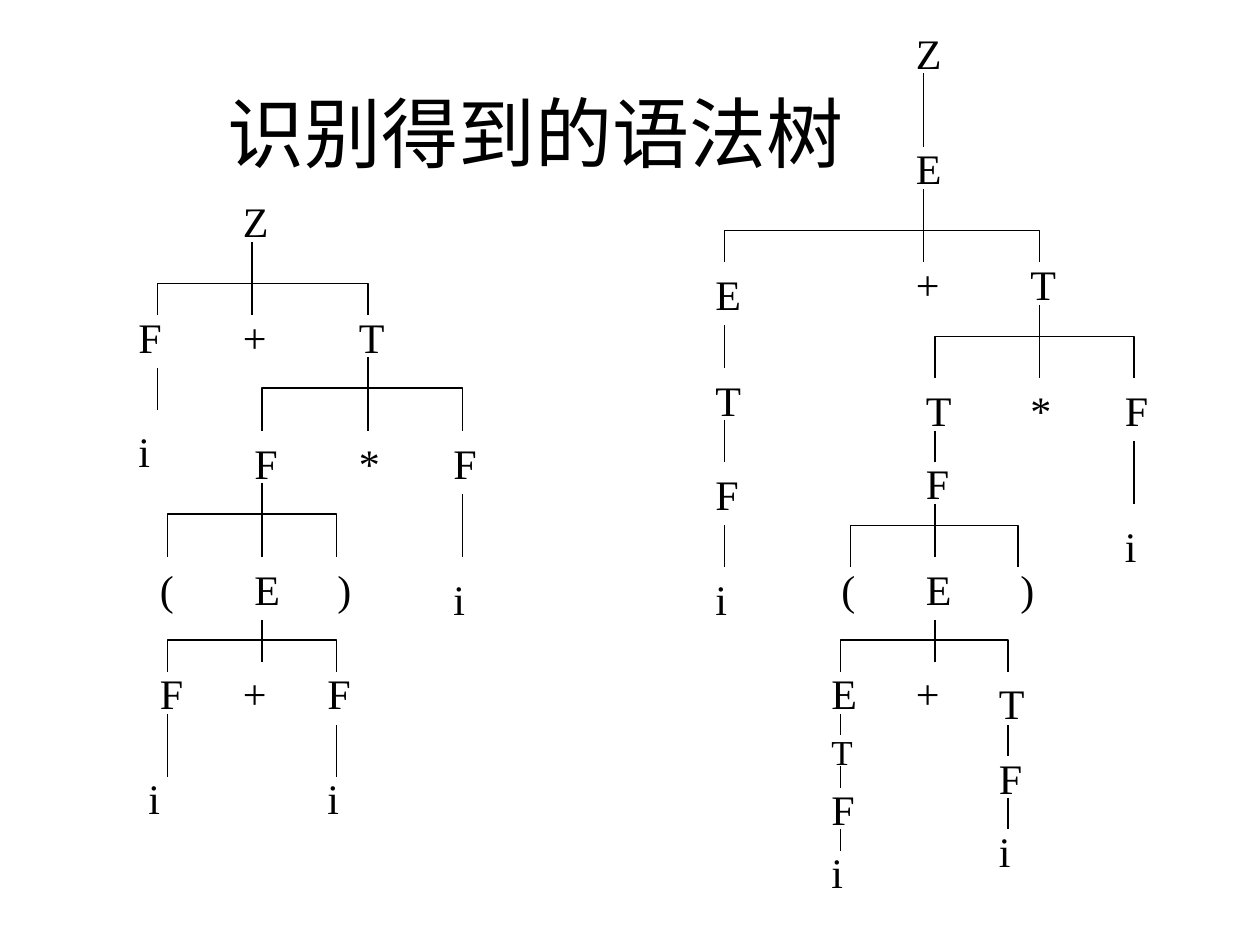
from dataclasses import dataclass

from lxml import etree
from pptx import Presentation
from pptx.dml.color import RGBColor
from pptx.enum.shapes import MSO_CONNECTOR
from pptx.enum.text import MSO_ANCHOR, MSO_AUTO_SIZE, PP_ALIGN
from pptx.oxml.ns import qn
from pptx.util import Inches, Pt

STRAIGHT = MSO_CONNECTOR.STRAIGHT
MIDDLE = MSO_ANCHOR.MIDDLE
CENTER = PP_ALIGN.CENTER
FIXED_SIZE = MSO_AUTO_SIZE.NONE
GROW = MSO_AUTO_SIZE.SHAPE_TO_FIT_TEXT


@dataclass(frozen=True)
class Theme:
    font: str = "Times New Roman"
    ink: RGBColor = RGBColor(0, 0, 0)
    title_size: int = 44
    symbol_size: int = 24
    small_symbol_size: int = 20
    line_width: float = 0.75


@dataclass(frozen=True)
class SyntaxTree:
    """Symbols are (text, left) by row top; stems and forks are in inches."""
    symbols: dict
    small_symbols: dict
    stems: list  # x, top, bottom
    forks: list  # left, right, top, bottom


THEME = Theme()
SYMBOL_WIDTH = 0.42

LEFT_TREE = SyntaxTree(
    symbols={
        1.5: [("Z", 1.83)],
        2.42: [("F", 1), ("+", 1.83), ("T", 2.75)],
        3.33: [("i", 1)],
        3.42: [("F", 1.92), ("*", 2.75), ("F", 3.5)],
        4.42: [("(", 1.17), ("E", 1.92), (")", 2.58)],
        4.5: [("i", 3.5)],
        5.25: [("F", 1.17), ("+", 1.83), ("F", 2.5)],
        6.08: [("i", 1.08), ("i", 2.5)],
    },
    small_symbols={},
    stems=[
        (2, 1.92, 2.5), (1.25, 2.92, 3.25), (2.92, 2.83, 3.42),
        (2.08, 3.83, 4.42), (3.67, 3.92, 4.42), (2.08, 4.92, 5.25),
        (1.33, 5.67, 6.17), (2.67, 5.75, 6.17),
    ],
    forks=[
        (1.25, 2.92, 2.25, 2.5), (2.08, 3.67, 3.08, 3.42),
        (1.33, 2.67, 4.08, 4.42), (1.33, 2.67, 5.08, 5.33),
    ],
)

RIGHT_TREE = SyntaxTree(
    symbols={
        0.17: [("Z", 7.17)],
        1.08: [("E", 7.17)],
        2: [("+", 7.17), ("T", 8.08)],
        2.08: [("E", 5.58)],
        2.92: [("T", 5.58)],
        3: [("T", 7.25), ("*", 8.08), ("F", 8.83)],
        3.58: [("F", 7.25)],
        3.67: [("F", 5.58)],
        4.08: [("i", 8.83)],
        4.42: [("(", 6.58), ("E", 7.25), (")", 8)],
        4.5: [("i", 5.58)],
        5.25: [("E", 6.5), ("+", 7.17)],
        5.33: [("T", 7.83)],
        5.92: [("F", 7.83)],
        6.17: [("F", 6.5)],
        6.5: [("i", 7.83)],
        6.67: [("i", 6.5)],
    },
    small_symbols={5.75: [("T", 6.5)]},
    stems=[
        (7.33, 0.58, 1.17), (7.33, 1.5, 2.08), (8.25, 2.42, 3),
        (5.75, 2.58, 2.92), (5.75, 3.33, 3.67), (5.75, 4.17, 4.5),
        (7.42, 3.42, 3.67), (7.42, 4, 4.42), (7.42, 4.92, 5.25),
        (9, 3.5, 4), (6.67, 5.67, 5.83), (6.67, 6.08, 6.25),
        (6.67, 6.58, 6.75), (8, 5.75, 6), (8, 6.33, 6.58),
    ],
    forks=[
        (5.75, 8.25, 1.83, 2.08), (7.42, 9, 2.67, 3),
        (6.75, 8.08, 4.17, 4.5), (6.67, 8, 5.08, 5.33),
    ],
)


def style_text(frame, size):
    font = frame.paragraphs[0].runs[0].font
    font.name = THEME.font
    font.size = Pt(size)
    font.color.rgb = THEME.ink


def style_line(line):
    line.color.rgb = THEME.ink
    line.width = Pt(THEME.line_width)


def set_title(slide, text):
    title = slide.shapes.title
    title.left, title.top = Inches(0.42), Inches(0.42)
    title.width, title.height = Inches(7.67), Inches(1.25)
    frame = title.text_frame
    frame.text = text
    frame.auto_size = FIXED_SIZE
    frame.vertical_anchor = MIDDLE
    frame.paragraphs[0].alignment = CENTER
    style_text(frame, THEME.title_size)


def add_symbols(group, rows, size, height):
    for top, row in rows.items():
        for text, left in row:
            box = group.shapes.add_textbox(
                Inches(left), Inches(top), Inches(SYMBOL_WIDTH), Inches(height))
            frame = box.text_frame
            frame.word_wrap = True
            frame.auto_size = GROW
            frame.text = text
            style_text(frame, size)


def add_stem(group, x, top, bottom):
    stem = group.shapes.add_connector(
        STRAIGHT, Inches(x), Inches(top), Inches(x), Inches(bottom))
    style_line(stem.line)
    etree.SubElement(stem._element.spPr, qn("a:effectLst"))


def add_fork(group, left, right, top, bottom):
    """Draw an open bracket whose two arms reach down to the outer children."""
    x1, x2, y1, y2 = (Inches(v) for v in (left, right, top, bottom))
    builder = group.shapes.build_freeform(x1, y2)
    builder.add_line_segments([(x1, y1), (x2, y1), (x2, y2)], close=False)
    fork = builder.convert_to_shape()
    fork.shadow.inherit = False
    fork.fill.background()
    style_line(fork.line)


def add_tree(slide, tree):
    group = slide.shapes.add_group_shape()
    add_symbols(group, tree.symbols, THEME.symbol_size, 0.5)
    add_symbols(group, tree.small_symbols, THEME.small_symbol_size, 0.44)
    for stem in tree.stems:
        add_stem(group, *stem)
    for fork in tree.forks:
        add_fork(group, *fork)


def main():
    deck = Presentation()
    deck.slide_width, deck.slide_height = Inches(10), Inches(7.5)
    slide = deck.slides.add_slide(deck.slide_layouts[5])
    set_title(slide, "识别得到的语法树")
    for tree in (LEFT_TREE, RIGHT_TREE):
        add_tree(slide, tree)
    deck.save("out.pptx")


if __name__ == "__main__":
    main()
